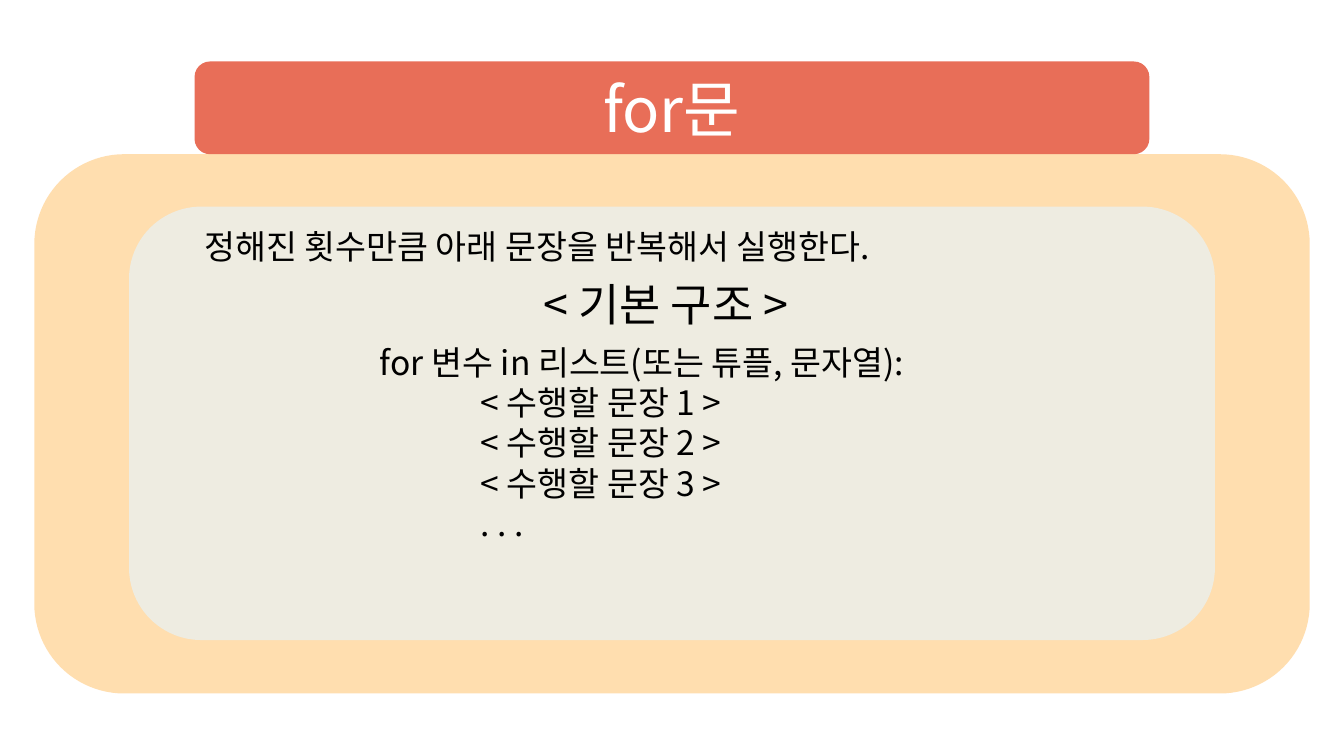
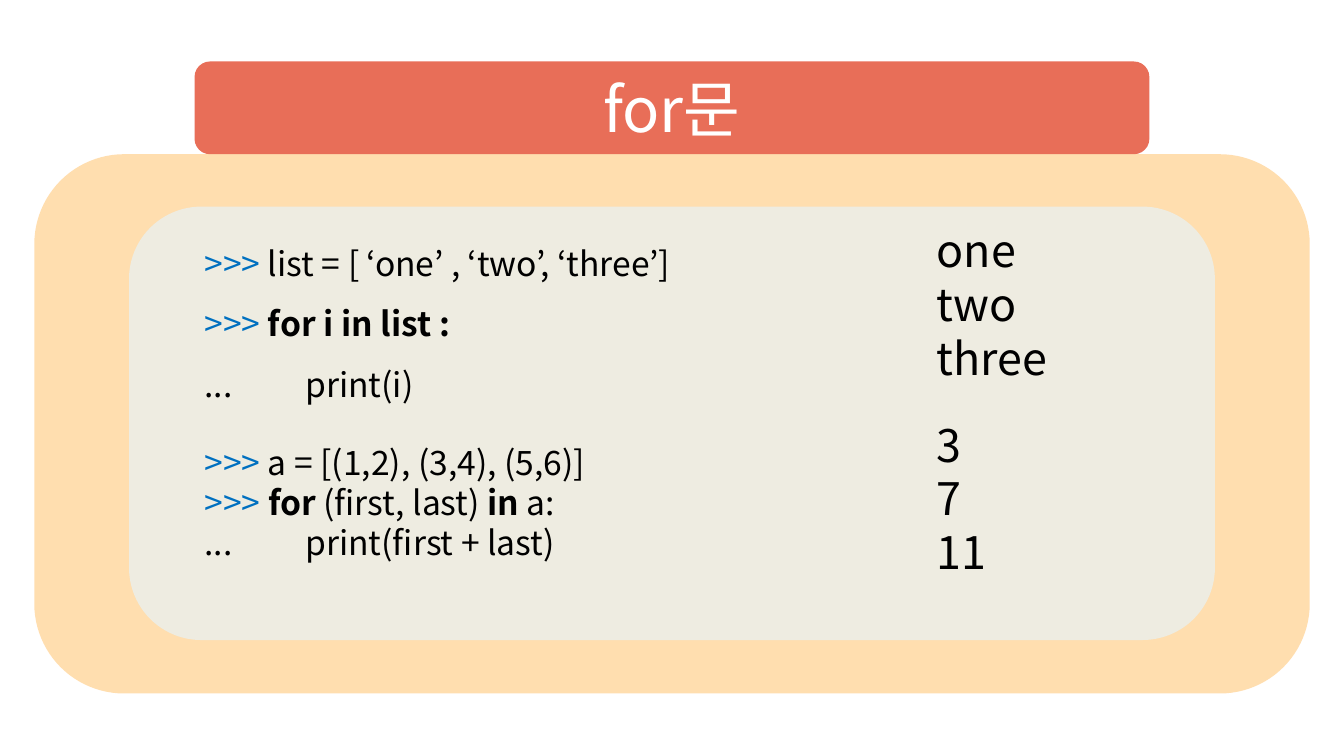
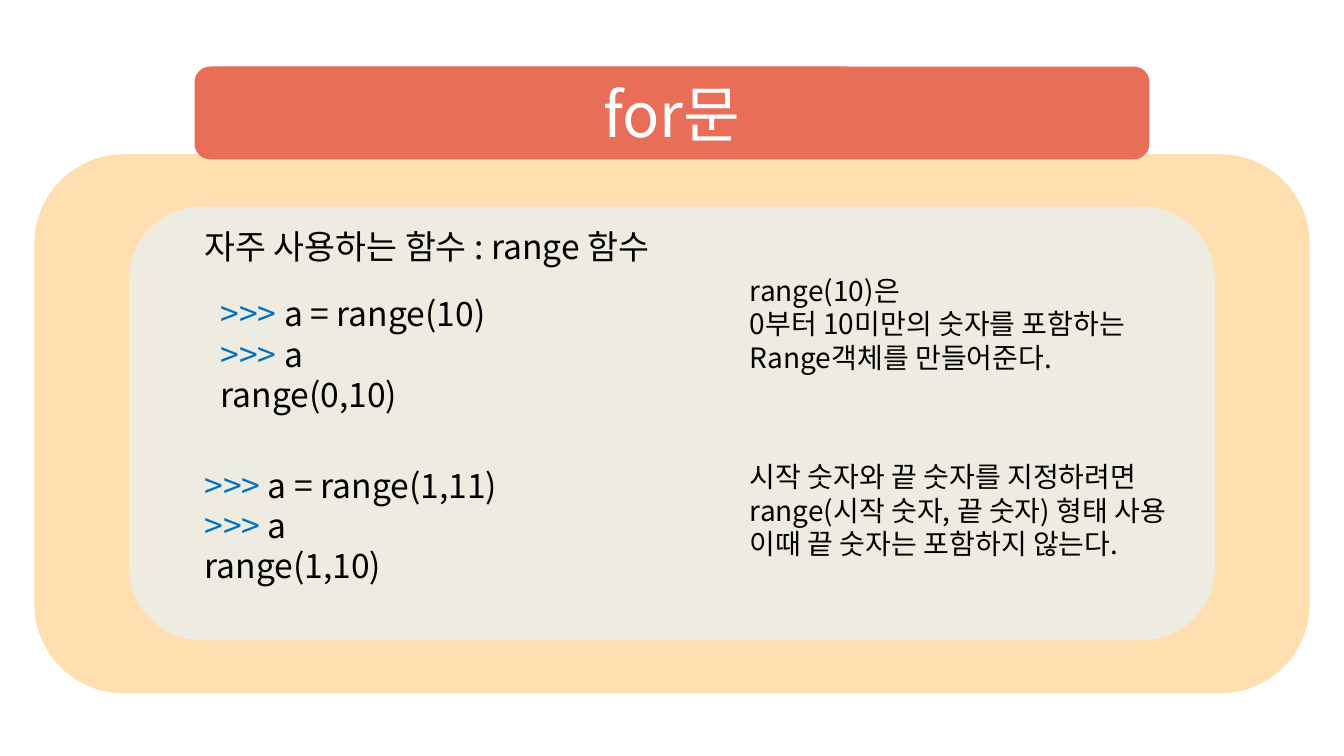
"""Build three slides that explain the for statement."""
from lxml.etree import SubElement
from pptx import Presentation
from pptx.dml.color import RGBColor as RGB
from pptx.enum.shapes import MSO_SHAPE as SHAPE
from pptx.enum.text import MSO_ANCHOR as ANCHOR, PP_ALIGN as ALIGN
from pptx.oxml.ns import qn
from pptx.util import Inches, Pt

C = {"frame": "FFBE61", "panel": "EEECE1", "title": "E86E58",
     "white": "FFFFFF", "black": "000000", "prompt": "0070C0"}
FONT = "Noto Sans CJK KR"
PROMPT = ">>>"
LEFT, OUTPUT, NOTE = 1.93, 9.19, 7.34

prs = Presentation()
prs.slide_width, prs.slide_height = Inches(13.33), Inches(7.5)


def write(tf, text, size=24, color="black", align=ALIGN.LEFT, spacing=1.2):
    """Fill a frame: one paragraph per line, *bold* parts, coloured prompts."""
    tf.word_wrap = True
    for i, line in enumerate(text.split("\n")):
        p = tf.paragraphs[0] if i == 0 else tf.add_paragraph()
        p.alignment = align
        p._p.get_or_add_pPr().set("defTabSz", str(Inches(1)))
        if spacing:
            p.line_spacing = Pt(size * spacing)
        parts = [(part, color, n % 2 == 1)
                 for n, part in enumerate(line.removeprefix(PROMPT).split("*"))]
        if line.startswith(PROMPT):
            parts.insert(0, (PROMPT, "prompt", False))
        for part, tone, bold in parts:
            if part:
                r = p.add_run()
                r.text = part
                r.font.size, r.font.name, r.font.bold = Pt(size), FONT, bold
                r.font.color.rgb = RGB.from_string(C[tone])


def add_box(s, at, fill):
    """Add a rounded box with a flat fill and no line."""
    sp = s.shapes.add_shape(SHAPE.ROUNDED_RECTANGLE, *map(Inches, at))
    sp.shadow.inherit = False
    sp.fill.solid()
    sp.fill.fore_color.rgb = RGB.from_string(C[fill])
    sp.line.fill.background()
    return sp


slides = [
    (0.61, [
        ((LEFT, 2.19, 9.47, 0.5), "정해진 횟수만큼 아래 문장을 반복해서 실행한다.", {}),
        ((3.67, 3.34, 5.99, 2.52),
         "for 변수 in 리스트(또는 튜플, 문자열):\n\t< 수행할 문장 1 >\n"
         "\t< 수행할 문장 2 >\n\t< 수행할 문장 3 >\n\t. . .", {}),
        ((4.68, 2.7, 3.95, 0.64), "< 기본 구조 > ", {"size": 32, "align": ALIGN.CENTER}),
    ]),
    (0.61, [
        ((LEFT, 2.16, 7.73, 1.87),
         ">>> list = [ ‘one’ , ‘two’, ‘three’]\n>>> *for i in list :*\n... \tprint(i)",
         {"spacing": 1.8}),
        ((OUTPUT, 2.16, 1.99, 1.72), "one\ntwo\nthree", {"size": 32}),
        ((LEFT, 4.33, 6.75, 1.31),
         ">>> a = [(1,2), (3,4), (5,6)]\n>>> *for* (first, last) *in* a:\n"
         "... \tprint(first + last)", {}),
        ((OUTPUT, 4.09, 1.99, 1.72), "3\n7\n11", {"size": 32}),
    ]),
    (0.66, [
        ((LEFT, 2.19, 6.93, 0.5), "자주 사용하는 함수 : range 함수", {}),
        ((LEFT, 4.56, 6.32, 1.31), ">>> a = range(1,11)\n>>> a\nrange(1,10)", {}),
        ((NOTE, 2.66, 4.3, 1.11),
         "range(10)은\n0부터 10미만의 숫자를 포함하는\nRange객체를 만들어준다.", {"size": 20}),
        ((2.09, 2.86, 6.32, 1.31), ">>> a = range(10)\n>>> a\nrange(0,10)", {}),
        ((NOTE, 4.51, 5.2, 1.11),
         "시작 숫자와 끝 숫자를 지정하려면\nrange(시작 숫자, 끝 숫자) 형태 사용\n"
         "이때 끝 숫자는 포함하지 않는다.", {"size": 20}),
    ]),
]

for title_top, texts in slides:
    s = prs.slides.add_slide(prs.slide_layouts[6])
    frame = add_box(s, (0.34, 1.53, 12.65, 5.35), "frame")
    tint = frame._element.spPr.find(qn("a:solidFill"))[0]
    SubElement(tint, qn("a:alpha")).set("val", "50000")
    add_box(s, (1.28, 2.05, 10.77, 4.3), "panel")
    title = add_box(s, (LEFT, title_top, 9.47, 0.92), "title")
    title.text_frame.vertical_anchor = ANCHOR.MIDDLE
    write(title.text_frame, "for문", size=44, color="white", align=ALIGN.CENTER, spacing=None)
    for at, text, style in texts:
        write(s.shapes.add_textbox(*map(Inches, at)).text_frame, text, **style)

prs.save("out.pptx")
